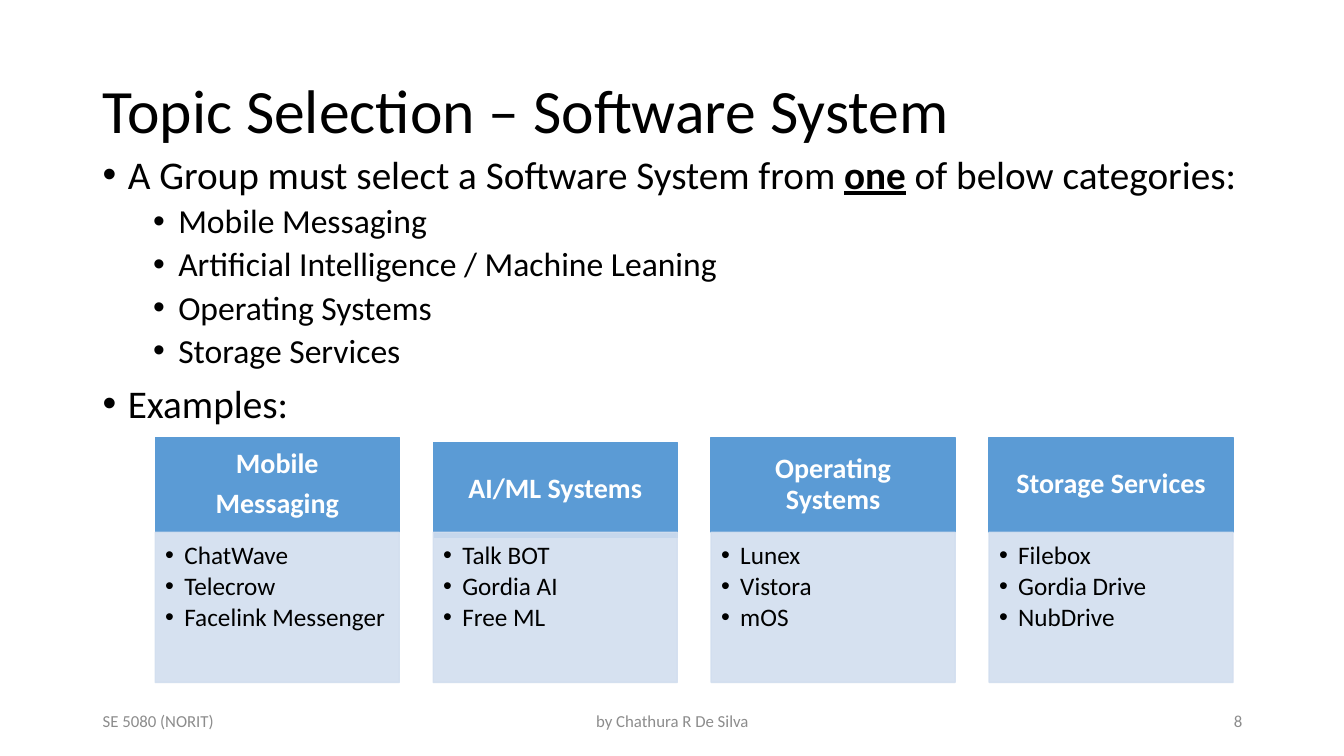
from lxml.etree import SubElement
from pptx import Presentation
from pptx.dml.color import RGBColor
from pptx.enum.shapes import MSO_SHAPE
from pptx.enum.text import MSO_ANCHOR, PP_ALIGN
from pptx.oxml.ns import qn
from pptx.util import Inches, Pt

BLACK, WHITE, GRAY = "000000", "FFFFFF", "8C8C8C"
BLUE, PALE = "5B9BD5", "D2DEEF"

EXAMPLES = [
    (["Mobile", "Messaging"], ["ChatWave", "Telecrow", "Facelink Messenger"]),
    (["AI/ML Systems"], ["Talk BOT", "Gordia AI", "Free ML"]),
    (["Operating Systems"], ["Lunex", "Vistora", "mOS"]),
    (["Storage Services"], ["Filebox", "Gordia Drive", "NubDrive"]),
]


def rgb(color):
    return RGBColor.from_string(color)


def set_attrs(obj, values):
    for name, value in values.items():
        setattr(obj, name, value)


def setup_frame(tf, anchor, insets=(0.1, 0.05, 0.1, 0.05)):
    sides = ("margin_left", "margin_top", "margin_right", "margin_bottom")
    set_attrs(tf, dict(zip(sides, map(Inches, insets)),
                       word_wrap=True, vertical_anchor=anchor))


def add_bullet(p, left, hang):
    pPr = p._p.get_or_add_pPr()
    pPr.set("marL", str(Inches(left)))
    pPr.set("indent", str(-Inches(hang)))
    SubElement(pPr, qn("a:buFont")).set("typeface", "Arial")
    SubElement(pPr, qn("a:buChar")).set("char", "•")


def add_paragraph(tf, runs, size, color=BLACK, bullet=None, bold=False, **fmt):
    """Each run is a (text, font overrides) pair; the first empty paragraph is reused."""
    p = tf.paragraphs[0]
    if p.runs:
        p = tf.add_paragraph()
    set_attrs(p, dict(line_spacing=0.9) | fmt)
    if bullet:
        add_bullet(p, *bullet)
    for text, font in runs:
        r = p.add_run()
        r.text = text
        set_attrs(r.font, dict(name="Calibri", size=Pt(size), bold=bold) | font)
        r.font.color.rgb = rgb(color)


def add_text_box(s, box, anchor):
    tf = s.shapes.add_textbox(*map(Inches, box)).text_frame
    setup_frame(tf, anchor)
    return tf


def add_panel(s, box, color, anchor, insets, alpha=None):
    sp = s.shapes.add_shape(MSO_SHAPE.RECTANGLE, *map(Inches, box))
    sp.shadow.inherit = False
    sp.fill.solid()
    sp.fill.fore_color.rgb = rgb(color)
    sp.line.color.rgb = rgb(color)
    sp.line.width = Pt(1)
    if alpha:
        for clr in sp._element.spPr.iter(qn("a:srgbClr")):
            SubElement(clr, qn("a:alpha")).set("val", str(alpha * 1000))
    setup_frame(sp.text_frame, anchor, insets)
    return sp.text_frame


def add_title(s, box):
    tf = add_text_box(s, box, MSO_ANCHOR.MIDDLE)
    add_paragraph(tf, [("Topic Selection – Software System", {})], 44)


def add_body(s, box):
    tf = add_text_box(s, box, MSO_ANCHOR.TOP)
    main = dict(size=28, bullet=(0.25, 0.25), space_before=Pt(10))
    sub = dict(size=24, bullet=(0.75, 0.25), space_before=Pt(5), level=1)
    add_paragraph(tf, [("A Group must select a Software System from ", {}),
                       ("one", dict(bold=True, underline=True)),
                       (" of below categories:", {})], **main)
    for category in ("Mobile Messaging", "Artificial Intelligence / Machine Leaning",
                     "Operating Systems", "Storage Services"):
        add_paragraph(tf, [(category, {})], **sub)
    add_paragraph(tf, [("Examples:", {})], **main)


def add_example_column(s, box, heading, items, head_shift=0):
    left, top, width, height = box
    head_h = 0.94

    # Header, moved down a little where head_shift is given
    tf = add_panel(s, (left, top + head_shift, width, head_h), BLUE,
                   MSO_ANCHOR.MIDDLE, (0.16, 0.09, 0.16, 0.09))
    for line in heading:
        add_paragraph(tf, [(line, {})], 20, WHITE, bold=True,
                      alignment=PP_ALIGN.CENTER, space_after=Pt(7))

    # Item list
    tf = add_panel(s, (left, top + head_h, width, height - head_h), PALE,
                   MSO_ANCHOR.TOP, (0.1, 0.1, 0.14, 0.16), alpha=90)
    for item in items:
        add_paragraph(tf, [(item, {})], 18, bullet=(0.19, 0.19), level=1,
                      alignment=PP_ALIGN.LEFT, space_after=Pt(2.7))


def add_examples(s, box):
    left, top, width, height = box
    col_w = 2.42
    step = (width - col_w) / (len(EXAMPLES) - 1)
    for i, (heading, items) in enumerate(EXAMPLES):
        add_example_column(s, (left + i * step, top, col_w, height), heading, items,
                           head_shift=0.05 if i == 1 else 0)


def add_footer(s, box):
    left, top, width, height = box
    side_w, mid_w = 3, 4.5
    for text, x, w, align in (
        ("SE 5080 (NORIT)", left, side_w, PP_ALIGN.LEFT),
        ("by Chathura R De Silva", left + (width - mid_w) / 2, mid_w, PP_ALIGN.CENTER),
        ("8", left + width - side_w, side_w, PP_ALIGN.RIGHT),
    ):
        tf = add_text_box(s, (x, top, w, height), MSO_ANCHOR.MIDDLE)
        add_paragraph(tf, [(text, {})], 12, GRAY, alignment=align, line_spacing=1.0)


def main():
    prs = Presentation()
    prs.slide_width, prs.slide_height = Inches(13.33), Inches(7.5)
    s = prs.slides.add_slide(prs.slide_layouts[6])
    add_title(s, (0.92, 0.4, 11.5, 1.45))
    add_body(s, (0.92, 1.49, 11.5, 5.46))
    add_footer(s, (0.92, 6.95, 11.5, 0.4))
    add_examples(s, (1.54, 4.34, 10.69, 2.43))
    prs.save("out.pptx")


if __name__ == "__main__":
    main()
